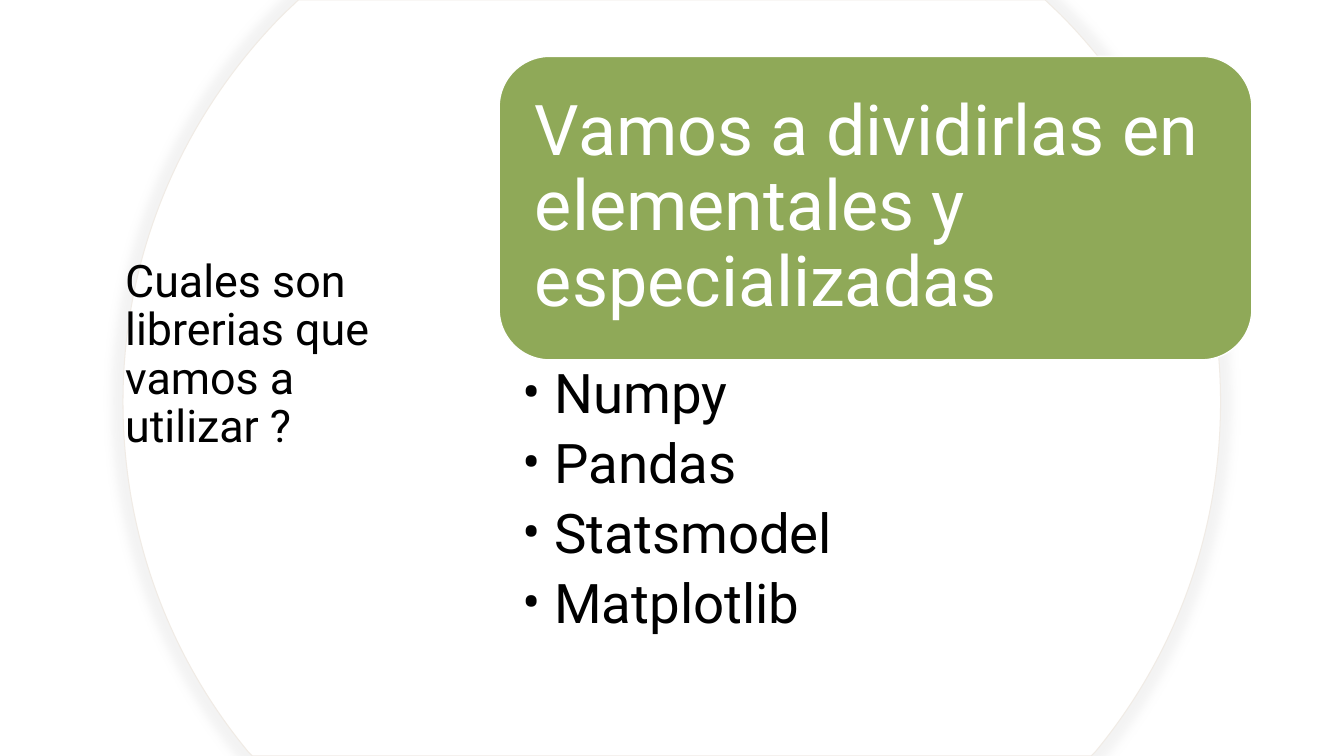
from lxml import etree
from pptx import Presentation
from pptx import util as u
from pptx.dml.color import RGBColor
from pptx.enum import shapes, text
from pptx.oxml import parse_xml
from pptx.oxml.ns import nsdecls, qn

WHITE = RGBColor(0xFF, 0xFF, 0xFF)
BLACK = RGBColor(0, 0, 0)
GREEN = RGBColor(0x8F, 0xA9, 0x58)
BEIGE = RGBColor(0xF0, 0xEB, 0xE5)
LIBRARIES = ["Numpy", "Pandas", "Statsmodel", "Matplotlib"]


def write(para, words, size, color=BLACK, after=0, bullet=False):
    para.alignment = text.PP_ALIGN.LEFT
    para.line_spacing = 0.9
    para.space_after = u.Pt(after)
    span = para.add_run()
    span.text = words
    span.font.name = "Roboto"
    span.font.size = u.Pt(size)
    span.font.color.rgb = color
    if bullet:
        properties = para._p.get_or_add_pPr()
        properties.set("marL", str(u.Cm(0.79)))
        properties.set("indent", str(u.Cm(-0.79)))
        etree.SubElement(properties, qn("a:buFont")).set("typeface", "Roboto")
        etree.SubElement(properties, qn("a:buChar")).set("char", "•")


deck = Presentation()
deck.slide_width, deck.slide_height = u.Cm(33.87), u.Cm(19.05)
page = deck.slides.add_slide(deck.slide_layouts[5])

center = 16.93
right_side = [
    [(9.41, 0)],
    [(9.79, 0.36)],
    [(12.28, 2.87), (13.83, 6.32), (13.83, 10.13)],
    [(13.83, 13.49), (12.65, 16.56), (10.67, 18.95)],
    [(10.57, 19.05)],
]
left_side = [
    [(-10.57, 19.05)],
    [(-10.67, 18.95)],
    [(-12.65, 16.56), (-13.83, 13.49), (-13.83, 10.13)],
    [(-13.83, 6.32), (-12.28, 2.87), (-9.79, 0.36)],
]
segments = [
    [(u.Cm(center + x), u.Cm(y)) for x, y in segment] for segment in right_side + left_side
]
builder = page.shapes.build_freeform(u.Cm(center - 9.41), 0)
builder.add_line_segments([segment[-1] for segment in segments])
circle = builder.convert_to_shape()
for line, segment in zip(list(circle.element.iter(qn("a:lnTo"))), segments):
    if len(segment) == 3:
        line.addprevious(parse_xml(
            f'<a:cubicBezTo {nsdecls("a")}>'
            + "".join(f'<a:pt x="{x - circle.left}" y="{y}"/>' for x, y in segment)
            + "</a:cubicBezTo>"
        ))
        line.getparent().remove(line)
circle.fill.solid()
circle.fill.fore_color.rgb = WHITE
circle.line.color.rgb = BEIGE
circle.line.width = u.Pt(0.75)
circle.element.spPr.append(parse_xml(
    f'<a:effectLst {nsdecls("a")}>'
    f'<a:outerShdw blurRad="{u.Pt(6)}" sx="102000" sy="102000" algn="ctr" rotWithShape="0">'
    '<a:srgbClr val="D9D9D9"><a:alpha val="30000"/></a:srgbClr>'
    "</a:outerShdw></a:effectLst>"
))

title = page.shapes.title
title.element.addprevious(circle.element)
title.left, title.top, title.width, title.height = u.Cm(2.9), u.Cm(1.4), u.Cm(8.3), u.Cm(15.12)
title.text_frame.word_wrap = True
title.text_frame.auto_size = text.MSO_AUTO_SIZE.NONE
title.text_frame.vertical_anchor = text.MSO_ANCHOR.MIDDLE
write(title.text_frame.paragraphs[0], "Cuales son librerias que vamos a utilizar ?", 32)

left, width = u.Cm(12.58), u.Cm(18.97)
card = page.shapes.add_shape(
    shapes.MSO_SHAPE.ROUNDED_RECTANGLE, left, u.Cm(1.42), width, u.Cm(7.65)
)
card.shadow.inherit = False
card.fill.solid()
card.fill.fore_color.rgb = GREEN
card.line.color.rgb = WHITE
card.line.width = u.Pt(1)
frame = card.text_frame
frame.word_wrap = True
frame.vertical_anchor = text.MSO_ANCHOR.MIDDLE
frame.margin_left = frame.margin_right = frame.margin_top = frame.margin_bottom = u.Cm(0.53)
write(frame.paragraphs[0], "Vamos a dividirlas en elementales y especializadas", 50, color=WHITE)

box = page.shapes.add_textbox(left, u.Cm(9.05), width, u.Cm(7.47))
frame = box.text_frame
frame.word_wrap = True
frame.margin_left, frame.margin_right = u.Cm(0.6), u.Cm(1)
frame.margin_top = frame.margin_bottom = u.Cm(0.18)
for index, library in enumerate(LIBRARIES):
    para = frame.add_paragraph() if index else frame.paragraphs[0]
    write(para, library, 39, after=8, bullet=True)

deck.save("out.pptx")
